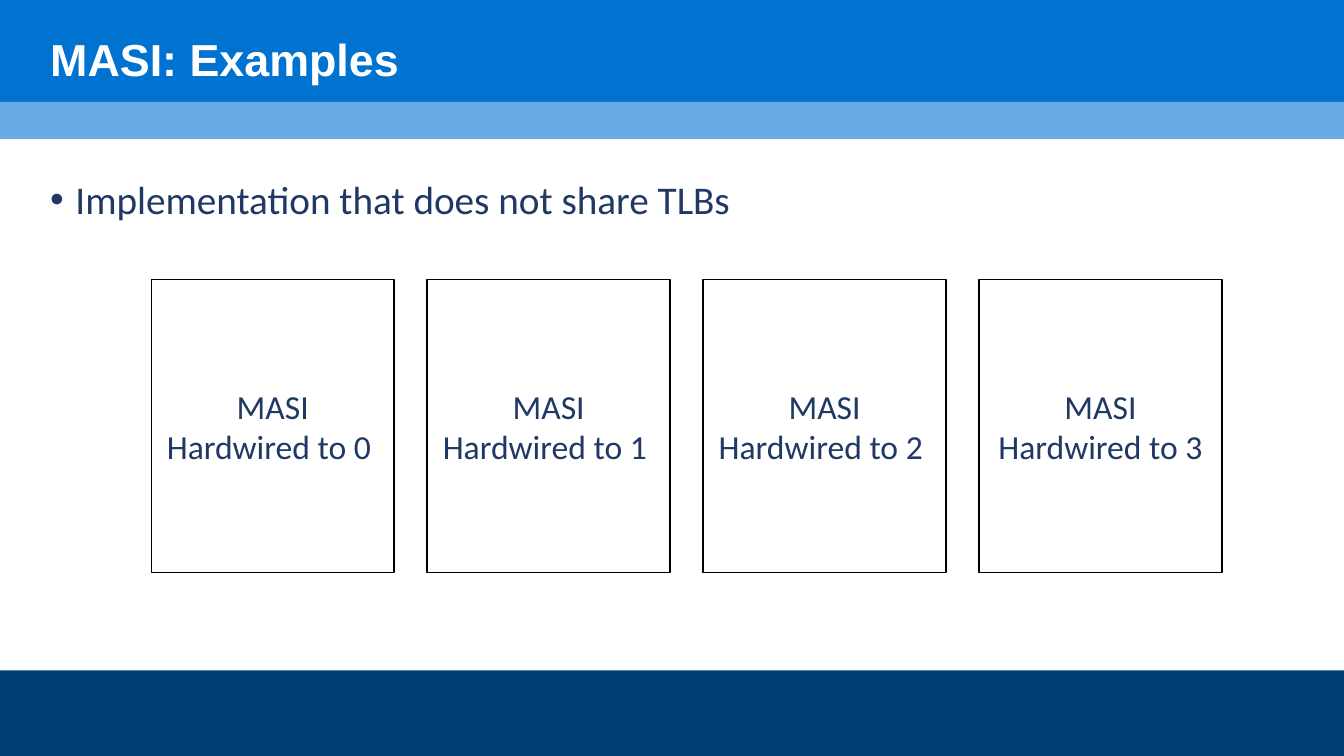
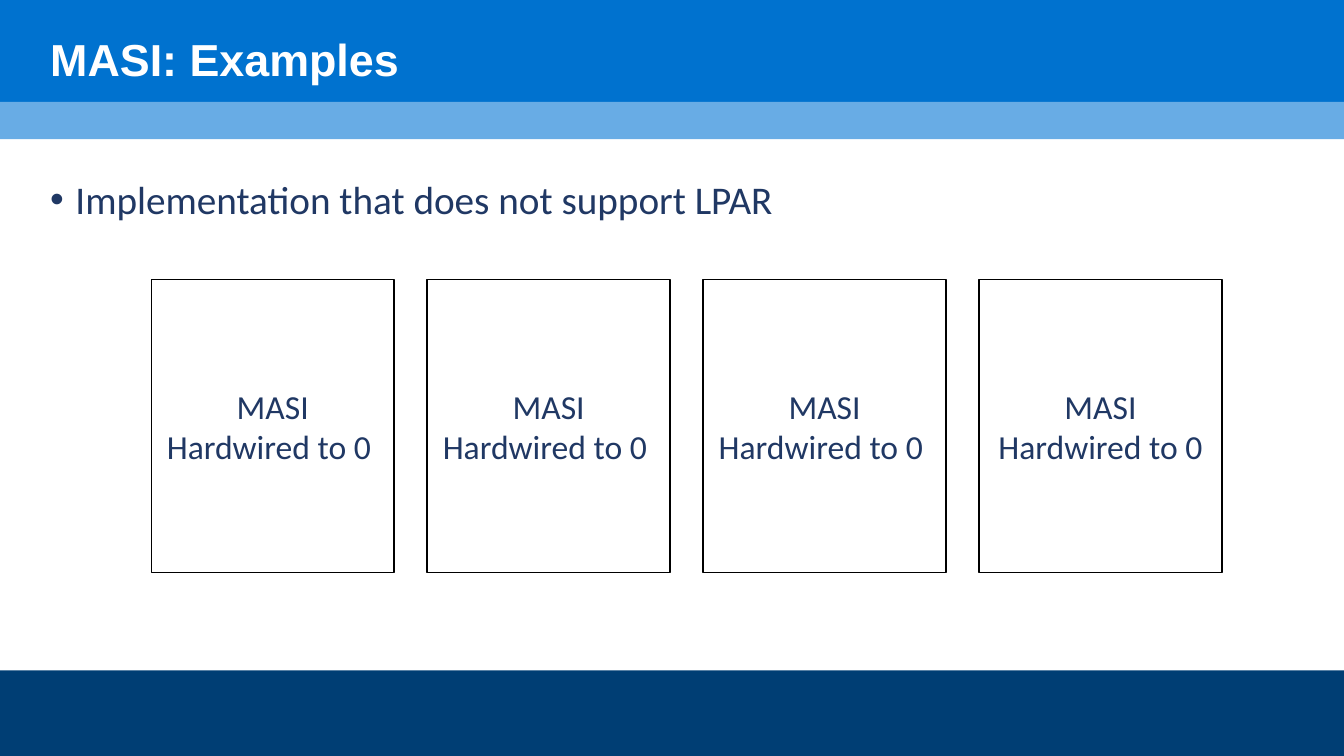
from lxml.etree import SubElement
from pptx import Presentation
from pptx.dml.color import RGBColor
from pptx.enum.shapes import MSO_SHAPE as Shape
from pptx.enum.text import MSO_ANCHOR as Anchor, PP_ALIGN as Align
from pptx.oxml.ns import qn
from pptx.util import Inches, Pt

SLIDE_WIDTH, SLIDE_HEIGHT = 13.33, 7.5
WHITE, BLACK, NAVY = "FFFFFF", "000000", "203864"
# Top, height and colour of the full-width bands
BANDS = [(0, 1.01, "0072CF"), (1.01, 0.37, "68ACE5"), (6.65, 0.85, "003E74")]
TITLE_BOX = (0.4, 0.26, 12.5, 0.71)
BODY_BOX = (0.4, 1.74, 12.5, 4.76)
ROW_BOX = (1.5, 2.77, 10.62, 2.91)
CARD_WIDTH = 2.41

TITLE = "MASI: Examples"
# Bullet and the value hardwired in each card
SLIDES = [
    ("Implementation that does not share TLBs", (0, 1, 2, 3)),
    ("Implementation that does not support LPAR", (0, 0, 0, 0)),
]


def colour(value):
    return RGBColor.from_string(value)


def format_text(para, size, font, text_colour, bold=False):
    for span in para.runs:
        span.font.size = Pt(size)
        span.font.name = font
        span.font.bold = bold
        span.font.color.rgb = colour(text_colour)


def add_rectangle(page, box, fill, line=None):
    shape = page.shapes.add_shape(Shape.RECTANGLE, *map(Inches, box))
    shape.shadow.inherit = False
    shape.fill.solid()
    shape.fill.fore_color.rgb = colour(fill)
    if line:
        shape.line.color.rgb = colour(line)
        shape.line.width = Pt(1)
    else:
        shape.line.fill.background()
    return shape


def add_line_of_text(page, box, text, anchor):
    frame = page.shapes.add_textbox(*map(Inches, box)).text_frame
    frame.word_wrap = True
    frame.vertical_anchor = anchor
    frame.text = text
    para = frame.paragraphs[0]
    para.line_spacing = 0.9
    para.space_before = Pt(10)
    return para


def add_bands(page):
    for top, height, fill in BANDS:
        add_rectangle(page, (0, top, SLIDE_WIDTH, height), fill)


def add_title(page, box, text):
    para = add_line_of_text(page, box, text, Anchor.MIDDLE)
    format_text(para, 32, "Arial", WHITE, bold=True)


def add_bullet(page, box, text):
    para = add_line_of_text(page, box, text, Anchor.TOP)
    format_text(para, 28, "Calibri", NAVY)
    # Hanging bullet
    props = para._p.get_or_add_pPr()
    props.set("marL", str(Inches(0.25)))
    props.set("indent", str(-Inches(0.25)))
    SubElement(props, qn("a:buFont"), typeface="Arial")
    SubElement(props, qn("a:buChar"), char="•")


def add_card(page, box, text):
    card = add_rectangle(page, box, WHITE, BLACK)
    frame = card.text_frame
    frame.word_wrap = True
    frame.vertical_anchor = Anchor.MIDDLE
    frame.text = text
    for para in frame.paragraphs:
        para.alignment = Align.CENTER
        format_text(para, 24, "Calibri", NAVY)


def add_card_row(page, box, values):
    left, top, width, height = box
    last = len(values) - 1
    pitch = (width - CARD_WIDTH) / last
    for index, value in enumerate(values):
        # All but the last card end in a no-break space
        ending = " " if index < last else ""
        card_box = (left + index * pitch, top, CARD_WIDTH, height)
        add_card(page, card_box, f"MASI\nHardwired to {value}{ending}")


def add_example_slide(deck, bullet, values):
    page = deck.slides.add_slide(deck.slide_layouts[6])
    add_bands(page)
    add_title(page, TITLE_BOX, TITLE)
    add_bullet(page, BODY_BOX, bullet)
    add_card_row(page, ROW_BOX, values)


def main():
    deck = Presentation()
    deck.slide_width = Inches(SLIDE_WIDTH)
    deck.slide_height = Inches(SLIDE_HEIGHT)
    for bullet, values in SLIDES:
        add_example_slide(deck, bullet, values)
    deck.save("out.pptx")


if __name__ == "__main__":
    main()
